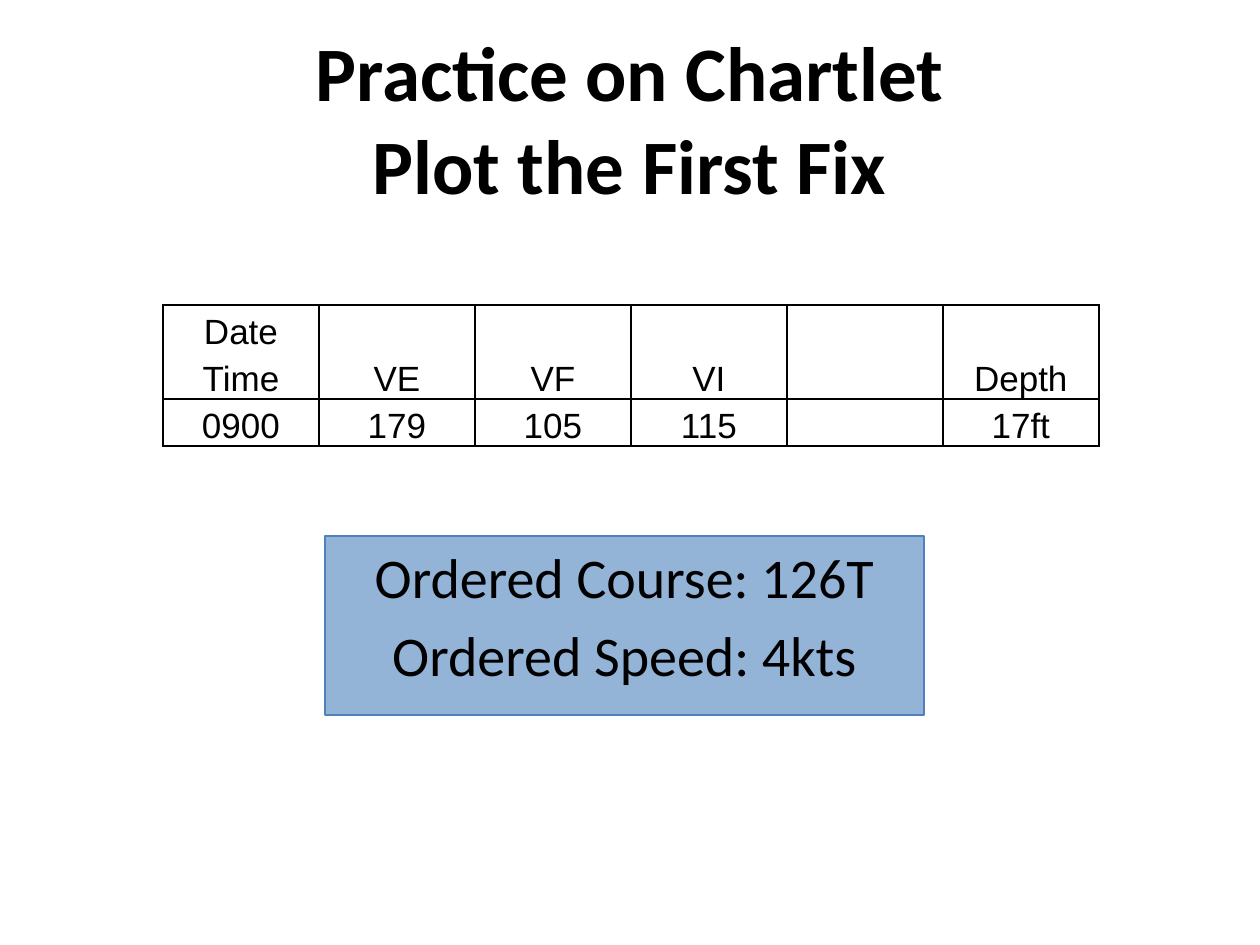
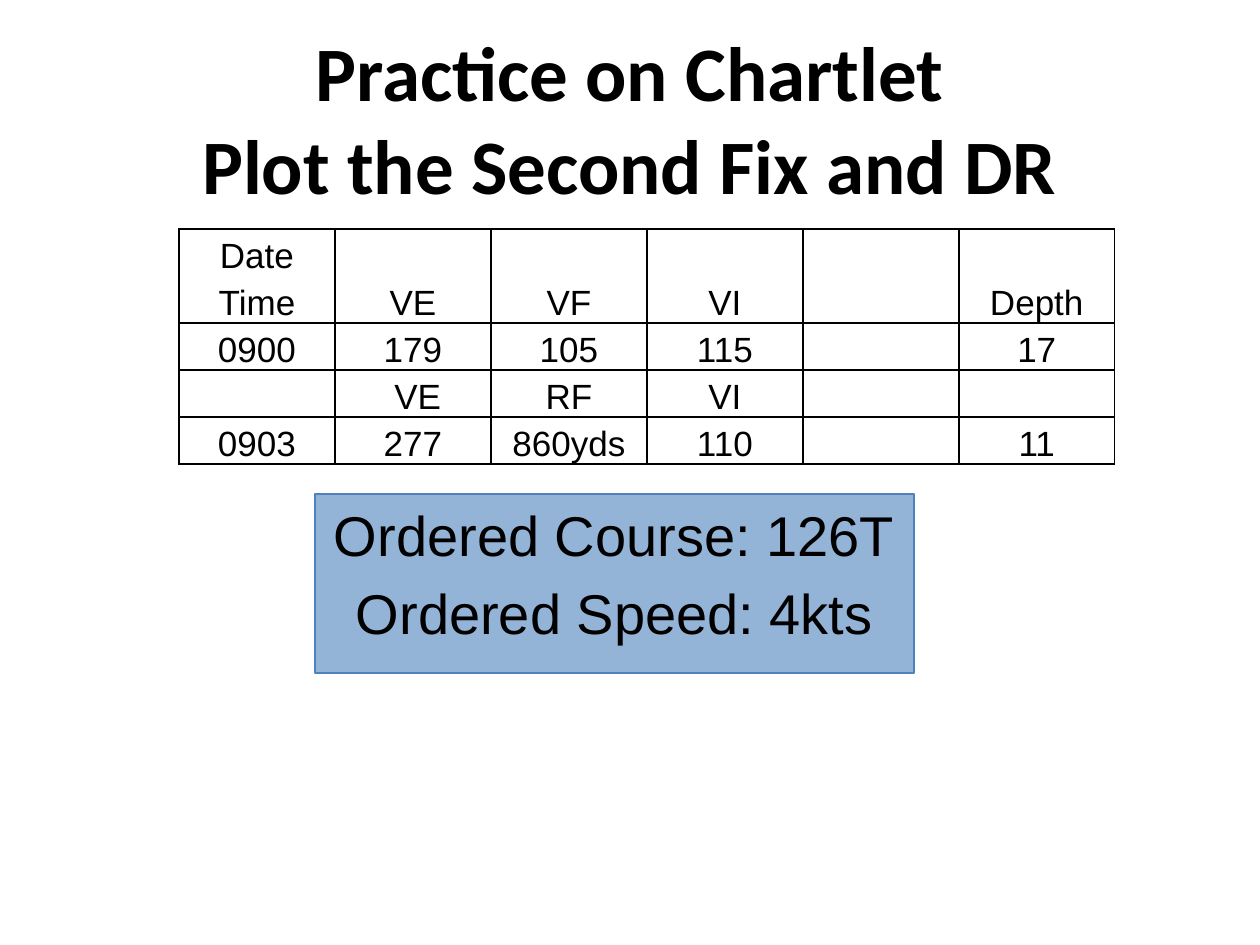
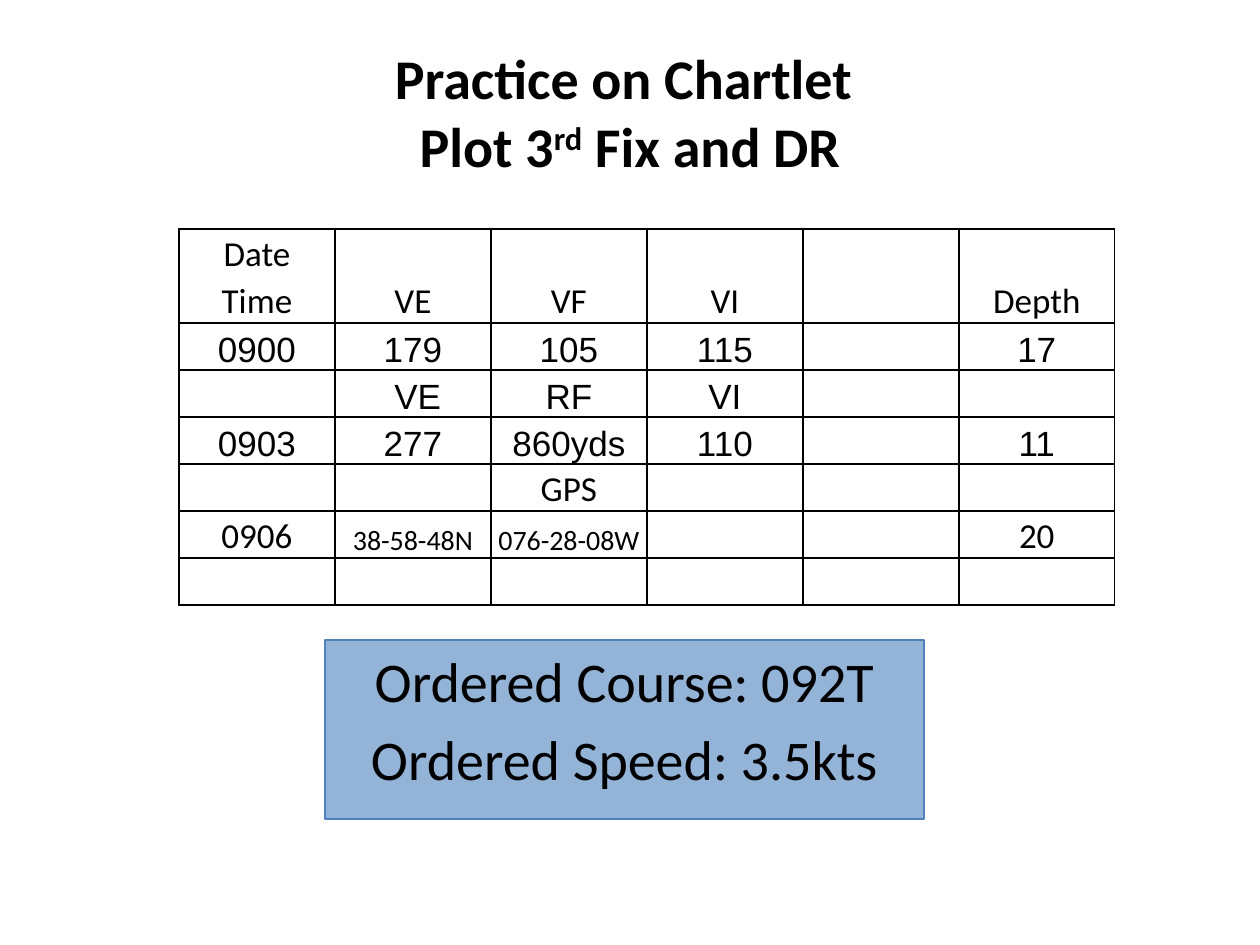
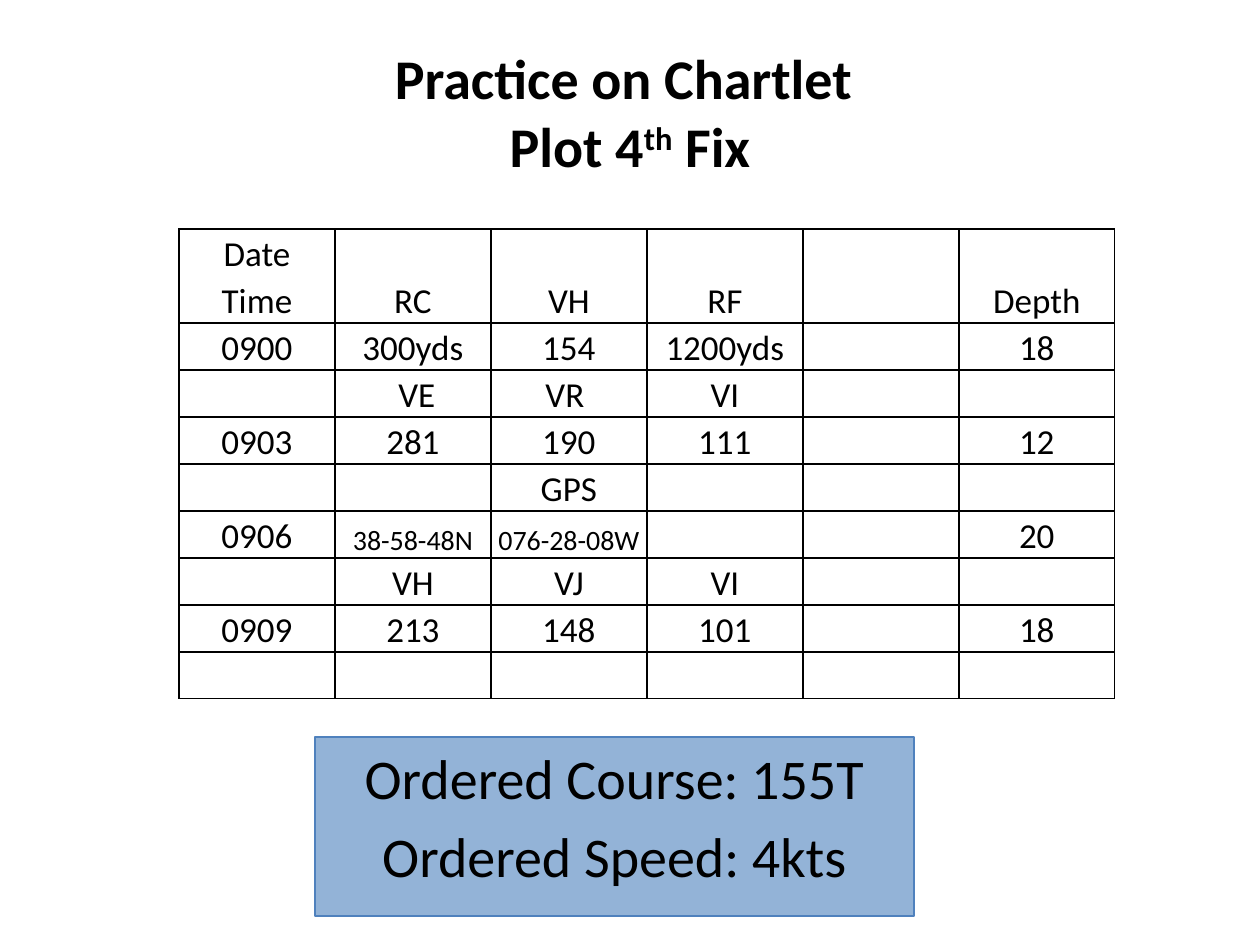
from lxml.etree import SubElement
from pptx import Presentation
from pptx.dml.color import RGBColor
from pptx.enum.shapes import MSO_SHAPE
from pptx.enum.text import MSO_ANCHOR as ANCHOR, PP_ALIGN as ALIGN
from pptx.oxml import parse_xml
from pptx.oxml.ns import nsdecls, qn
from pptx.util import Pt

SCALE = 914400 / 126
BLACK = RGBColor(0x00, 0x00, 0x00)
WHITE = RGBColor(0xFF, 0xFF, 0xFF)
BOX_FILL = RGBColor(0x93, 0xB3, 0xD7)
BOX_LINE = RGBColor(0x4F, 0x81, 0xBD)
SANS, BODY = "Arial", "Calibri"

COL_W, ROW_H = 156, 47
TITLE_W, TITLE_H = 1134, 158
BOX_W, BOX_H = 599, 179

FIRST_FIXES = [
    (SANS, ["0900", "179", "105", "115", "", "17"]),
    (SANS, ["", " VE", "RF", "VI", "", ""]),
    (SANS, ["0903", "277", "860yds", "110", "", "11"]),
]
GPS_FIX = [
    (BODY, ["", "", "GPS", "", "", ""]),
    (BODY, ["0906", "38-58-48N", "076-28-08W", "", "", "20"]),
]
EMPTY_ROW = (BODY, [""] * 6)


def header(font, *marks):
    return [(font, ["Date", *marks, "", "Depth"]), (font, ["Time"] + [""] * 5)]


SLIDES = [
    dict(
        title=["Practice on Chartlet\nPlot the First Fix"],
        title_top=38, title_size=44, table_at=(163, 305),
        rows=header(SANS, "VE", "VF", "VI")
        + [(SANS, ["0900", "179", "105", "115", "", "17ft"])],
        orders=["Ordered Course: 126T", "Ordered Speed: 4kts"],
        orders_at=(325, 536), orders_font=BODY,
    ),
    dict(
        title=["Practice on Chartlet\nPlot the Second Fix and DR"],
        title_top=38, title_size=44, table_at=(179, 229),
        rows=header(SANS, "VE", "VF", "VI") + FIRST_FIXES,
        orders=["Ordered Course: 126T", "Ordered Speed: 4kts"],
        orders_at=(315, 494), orders_font=SANS,
    ),
    dict(
        title=["Practice on Chartlet \nPlot 3", "rd", " Fix and DR"],
        title_top=32, title_size=32, table_at=(179, 229),
        rows=header(BODY, "VE", "VF", "VI") + FIRST_FIXES + GPS_FIX + [EMPTY_ROW],
        orders=["Ordered Course: 092T", "Ordered Speed: 3.5kts"],
        orders_at=(325, 640), orders_font=BODY,
    ),
    dict(
        title=["Practice on Chartlet \nPlot 4", "th", " Fix"],
        title_top=32, title_size=32, table_at=(179, 229),
        rows=header(BODY, "RC", "VH", "RF") + [
            (BODY, ["0900", "300yds", "154", "1200yds", "", "18"]),
            (BODY, ["", " VE", "VR ", "VI", "", ""]),
            (BODY, ["0903", "281", "190", "111", "", "12"]),
        ] + GPS_FIX + [
            (BODY, ["", "VH", "VJ", "VI", "", ""]),
            (BODY, ["0909", "213", "148", "101", "", "18"]),
            EMPTY_ROW,
        ],
        orders=["Ordered Course: 155T", "Ordered Speed: 4kts"],
        orders_at=(315, 737), orders_font=BODY,
    ),
]


def px(*lengths):
    return [round(n * SCALE) for n in lengths]


def style(p, font, size, bold=False):
    p.alignment = ALIGN.CENTER
    for r in p.runs:
        r.font.name = font
        r.font.size = Pt(size)
        r.font.bold = bold
        r.font.color.rgb = BLACK


def add_title(s, parts, top, size):
    tf = s.shapes.add_textbox(*px(63, top, TITLE_W, TITLE_H)).text_frame
    tf.word_wrap = True
    tf.vertical_anchor = ANCHOR.MIDDLE
    p = tf.paragraphs[0]
    p.text = parts[0]
    for i, part in enumerate(parts[1:]):
        r = p.add_run()
        r.text = part
        if i == 0:
            r.font._element.set("baseline", "30000")
    style(p, BODY, size, bold=True)


def set_borders(cell, hidden):
    tcPr = cell._tc.get_or_add_tcPr()
    for i, side in enumerate("LRTB"):
        ln = parse_xml(f'<a:ln{side} {nsdecls("a")} w="12700"/>')
        if side == hidden:
            SubElement(ln, qn("a:noFill"))
        else:
            fill = SubElement(ln, qn("a:solidFill"))
            SubElement(fill, qn("a:srgbClr"), val=str(BLACK))
        tcPr.insert(i, ln)


def add_fix_table(s, rows, at):
    cols = len(rows[0][1])
    size = (cols * COL_W, len(rows) * ROW_H)
    table = s.shapes.add_table(len(rows), cols, *px(*at, *size)).table
    table.first_row = table.horz_banding = False
    for col in table.columns:
        col.width = px(COL_W)[0]
    for y, (font, texts) in enumerate(rows):
        table.rows[y].height = px(ROW_H)[0]
        for x, text in enumerate(texts):
            cell = table.cell(y, x)
            cell.margin_left = cell.margin_right = cell.margin_top = px(1)[0]
            cell.margin_bottom = 0
            cell.vertical_anchor = ANCHOR.BOTTOM
            cell.fill.solid()
            cell.fill.fore_color.rgb = WHITE
            set_borders(cell, {(0, 0): "B", (1, 0): "T"}.get((y, x)))
            if text:
                p = cell.text_frame.paragraphs[0]
                p.text = text
                style(p, font, 16 if "-" in text else 20)
    for x in range(1, cols):
        table.cell(0, x).merge(table.cell(1, x))


def add_orders(s, lines, at, font):
    sp = s.shapes.add_shape(MSO_SHAPE.RECTANGLE, *px(*at, BOX_W, BOX_H))
    sp.shadow.inherit = False
    sp.fill.solid()
    sp.fill.fore_color.rgb = BOX_FILL
    sp.line.color.rgb = BOX_LINE
    sp.line.width = Pt(0.75)
    tf = sp.text_frame
    tf.word_wrap = True
    tf.vertical_anchor = ANCHOR.TOP
    tf.text = "\n".join(lines)
    for p in tf.paragraphs:
        style(p, font, 32)
    tf.paragraphs[1].space_before = Pt(6.4)


def main():
    prs = Presentation()
    prs.slide_width, prs.slide_height = px(1260, 945)
    for d in SLIDES:
        s = prs.slides.add_slide(prs.slide_layouts[6])
        add_title(s, d["title"], d["title_top"], d["title_size"])
        add_fix_table(s, d["rows"], d["table_at"])
        add_orders(s, d["orders"], d["orders_at"], d["orders_font"])
    prs.save("out.pptx")


if __name__ == "__main__":
    main()
